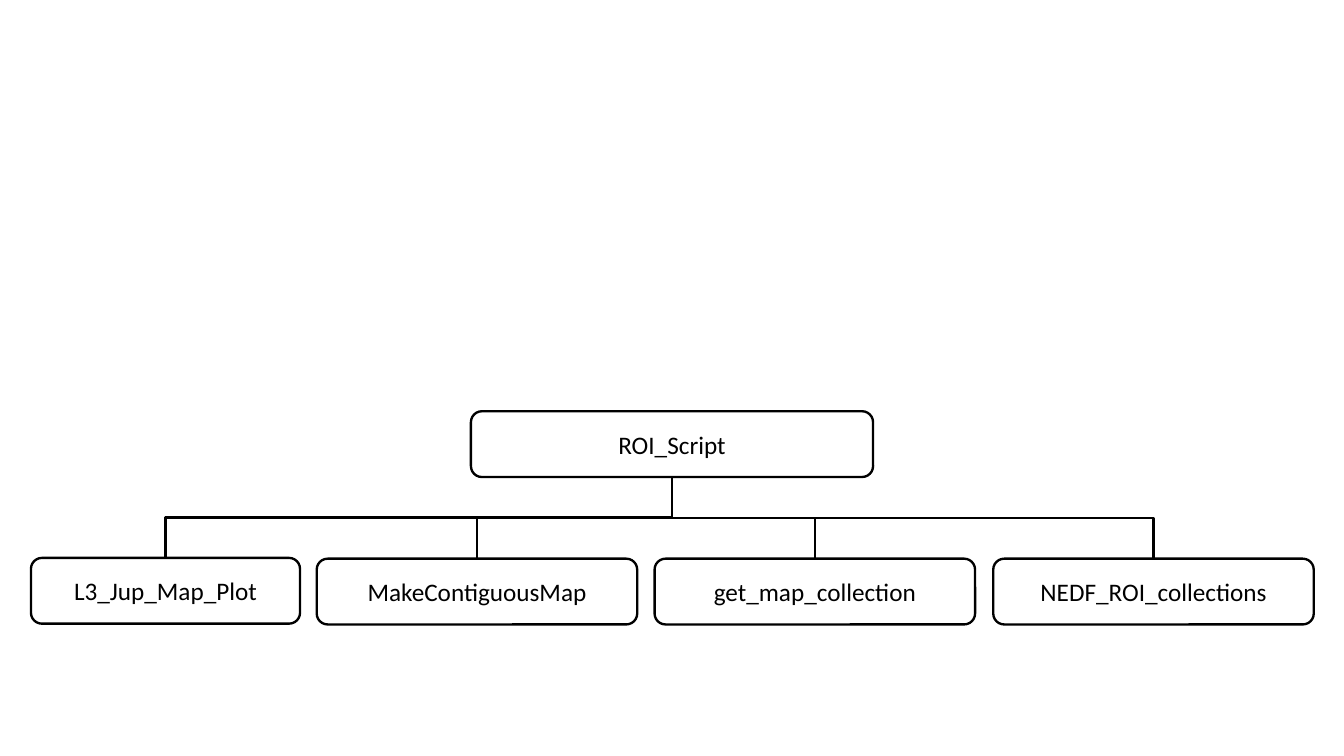
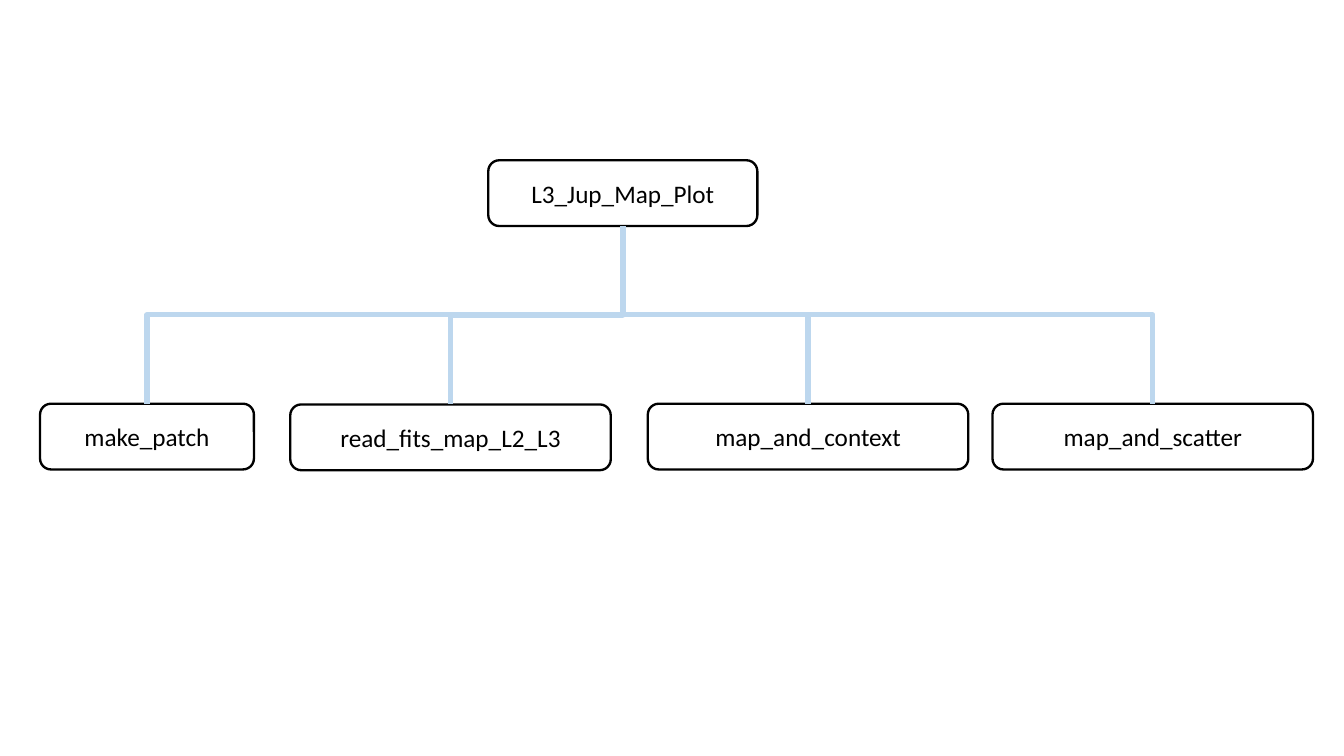
"""Build two call trees of scripts and the functions they use."""
import dataclasses

import pptx
import pptx.dml.color
import pptx.enum.shapes
import pptx.enum.text
import pptx.oxml
import pptx.oxml.ns
import pptx.shapes.autoshape
import pptx.slide
import pptx.util

Inches = pptx.util.Inches
Pt = pptx.util.Pt
BLACK = pptx.dml.color.RGBColor(0x00, 0x00, 0x00)
WHITE = pptx.dml.color.RGBColor(0xFF, 0xFF, 0xFF)
BLUE = pptx.dml.color.RGBColor(0xBD, 0xD7, 0xEE)
FONT = "Calibri"
HIGH = Inches(0.87)
WIDE = Inches(4.24)
MID = Inches(3.56)
TOP_SITE, BASE_SITE = 0, 2


@dataclasses.dataclass(frozen=True)
class Box:
    """A named function box."""
    text: str
    left: int
    top: int
    width: int = WIDE


@dataclasses.dataclass(frozen=True)
class Tree:
    """A root box, its child boxes and the style of the links."""
    root: Box
    kids: tuple[Box, ...]
    color: pptx.dml.color.RGBColor
    weight: float


TREES = (
    Tree(
        Box("ROI_Script", Inches(6.23), Inches(5.44), Inches(5.32)),
        (
            Box("L3_Jup_Map_Plot", Inches(0.41), Inches(7.38), MID),
            Box("MakeContiguousMap", Inches(4.19), Inches(7.39)),
            Box("get_map_collection", Inches(8.66), Inches(7.39)),
            Box("NEDF_ROI_collections", Inches(13.14), Inches(7.39)),
        ),
        BLACK, 2.25,
    ),
    Tree(
        Box("L3_Jup_Map_Plot", Inches(6.46), Inches(2.12), MID),
        (
            Box("make_patch", Inches(0.53), Inches(5.34), Inches(2.83)),
            Box("read_fits_map_L2_L3", Inches(3.84), Inches(5.35)),
            Box("map_and_context", Inches(8.57), Inches(5.34)),
            Box("map_and_scatter", Inches(13.13), Inches(5.34)),
        ),
        BLUE, 5,
    ),
)


def draw_box(slide: pptx.slide.Slide, box: Box) -> pptx.shapes.autoshape.Shape:
    """Draw a rounded box with centred text."""
    shape = slide.shapes.add_shape(
        pptx.enum.shapes.MSO_SHAPE.ROUNDED_RECTANGLE,
        box.left, box.top, box.width, HIGH)
    shape.shadow.inherit = False
    shape.fill.solid()
    shape.fill.fore_color.rgb = WHITE
    shape.line.color.rgb = BLACK
    shape.line.width = Pt(2.25)
    frame = shape.text_frame
    frame.margin_left = frame.margin_right = 0
    frame.margin_top = frame.margin_bottom = 0
    frame.vertical_anchor = pptx.enum.text.MSO_ANCHOR.MIDDLE
    frame.text = box.text
    para = frame.paragraphs[0]
    para.alignment = pptx.enum.text.PP_ALIGN.CENTER
    para.font.name = FONT
    para.font.size = Pt(24)
    para.font.color.rgb = BLACK
    return shape


def draw_link(slide: pptx.slide.Slide, root: pptx.shapes.autoshape.Shape,
              kid: pptx.shapes.autoshape.Shape, tree: Tree) -> None:
    """Join the base of the root to the top of a child by a turned elbow."""
    x1, y1 = root.left + root.width // 2, root.top + root.height
    x2, y2 = kid.left + kid.width // 2, kid.top
    link = slide.shapes.add_connector(
        pptx.enum.shapes.MSO_CONNECTOR.ELBOW, x1, y1, x2, y2)
    link.begin_connect(root, BASE_SITE)
    link.end_connect(kid, TOP_SITE)
    link.width, link.height = y2 - y1, abs(x2 - x1)
    link.left = (x1 + x2 - link.width) // 2
    link.top = (y1 + y2 - link.height) // 2
    props = link.element.spPr
    frame = props.find(pptx.oxml.ns.qn("a:xfrm"))
    right = x2 > x1
    frame.set("rot", str((270 if right else 90) * 60000))
    frame.set("flipH", "1" if right else "0")
    link.line.color.rgb = tree.color
    link.line.width = Pt(tree.weight)
    props.append(pptx.oxml.parse_xml(
        f'<a:effectLst {pptx.oxml.ns.nsdecls("a")}/>'))


def draw_tree(slide: pptx.slide.Slide, tree: Tree) -> None:
    """Draw the boxes of a tree, then its links."""
    root = draw_box(slide, tree.root)
    kids = [draw_box(slide, box) for box in tree.kids]
    for kid in kids:
        draw_link(slide, root, kid, tree)


def main() -> None:
    """Build and save the deck."""
    deck = pptx.Presentation()
    deck.slide_width, deck.slide_height = Inches(17.78), Inches(10)
    blank = deck.slide_layouts.get_by_name("Blank")
    for tree in TREES:
        draw_tree(deck.slides.add_slide(blank), tree)
    deck.save("out.pptx")


if __name__ == "__main__":
    main()
